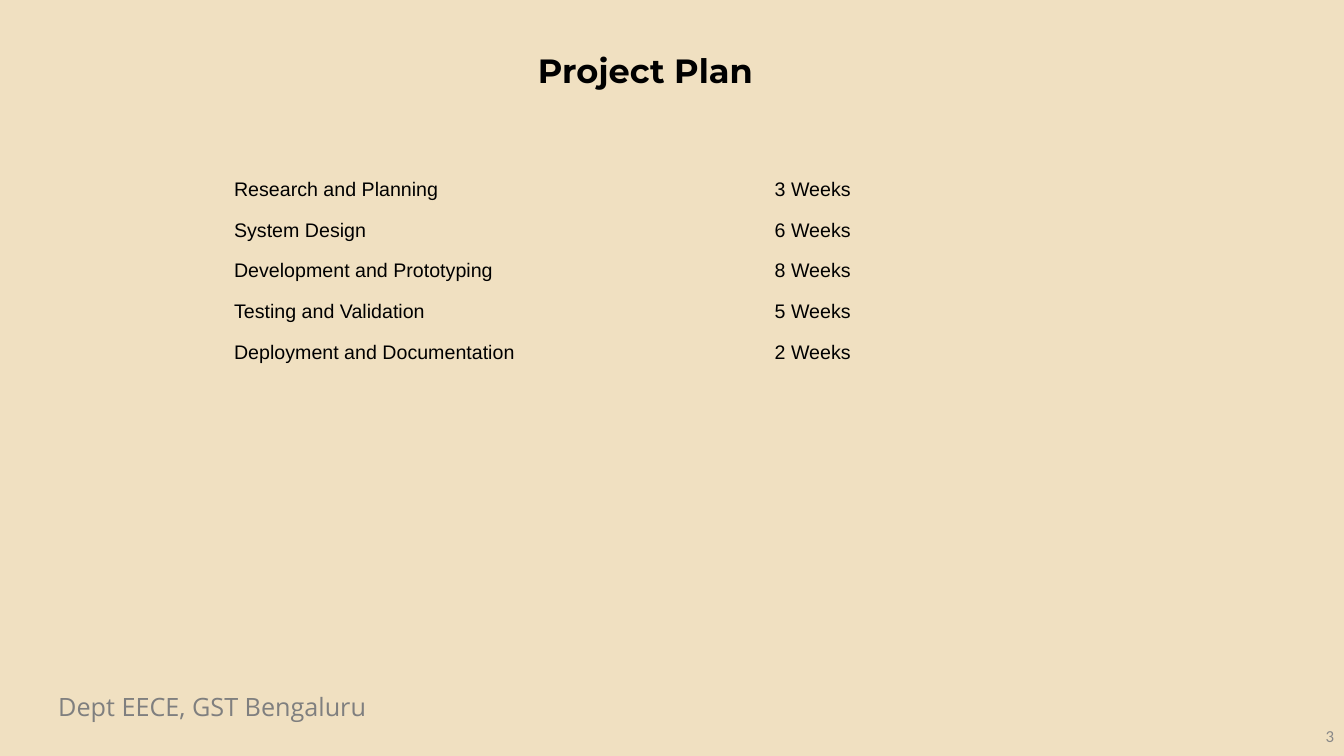
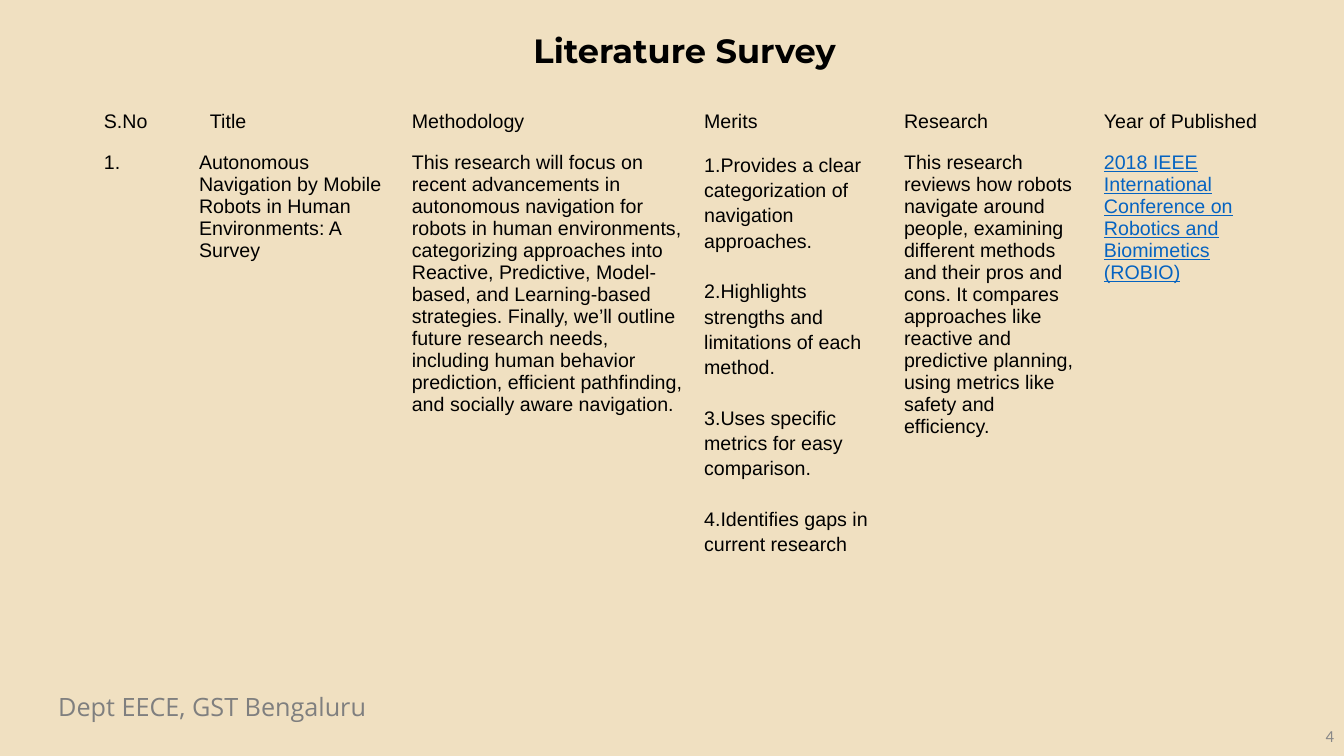
import lxml.etree
import pptx
import pptx.dml.color
import pptx.enum.text
import pptx.oxml.ns
import pptx.util

Pt = pptx.util.Pt
ALIGN = pptx.enum.text.PP_ALIGN
ANCHOR = pptx.enum.text.MSO_ANCHOR

COLORS = {
    "background": "F0E0C1",
    "text": "000000",
    "footer": "7F7F7F",
    "number": "888888",
    "citation": "0563C1",
}
SLIDE_WIDTH, SLIDE_HEIGHT = 960, 540
CELL_INSET = 7.2

PLAN = [
    ("Research and Planning", "3 Weeks"),
    ("System Design", "6 Weeks"),
    ("Development and Prototyping", "8 Weeks"),
    ("Testing and Validation", "5 Weeks"),
    ("Deployment and Documentation", "2 Weeks"),
]
SURVEY = [
    ("S.No", "Title", "Methodology", "Merits", "Research", "Year of Published"),
    (
        "1.",
        "Autonomous Navigation by Mobile Robots in Human Environments: A Survey",
        "This research will focus on recent advancements in autonomous navigation for "
        "robots in human environments, categorizing approaches into Reactive, Predictive, "
        "Model-based, and Learning-based strategies. Finally, we’ll outline future research "
        "needs, including human behavior prediction, efficient pathfinding, and socially "
        "aware navigation.",
        "1.Provides a clear categorization of navigation approaches.\n"
        "2.Highlights strengths and limitations of each method.\n"
        "3.Uses specific metrics for easy comparison.\n"
        "4.Identifies gaps in current research",
        "This research reviews how robots navigate around people, examining different "
        "methods and their pros and cons. It compares approaches like reactive and "
        "predictive planning, using metrics like safety and efficiency.",
        "2018 IEEE International Conference on Robotics and Biomimetics (ROBIO)",
    ),
]


def write_text(frame, text, size=14, font="Arial", color="text", bold=False,
               underline=False, align=ALIGN.LEFT, line_spacing=None, gap=0):
    """Fill a text frame, one paragraph for each line of text."""
    frame.word_wrap = True
    for index, line in enumerate(text.split("\n")):
        paragraph = frame.add_paragraph() if index else frame.paragraphs[0]
        paragraph.alignment = align
        if line_spacing:
            paragraph.line_spacing = line_spacing
        if index and gap:
            paragraph.space_before = Pt(gap)
        run = paragraph.add_run()
        run.text = line
        run.font.size = Pt(size)
        run.font.name = font
        run.font.bold = bold
        run.font.underline = underline
        run.font.color.rgb = pptx.dml.color.RGBColor.from_string(COLORS[color])


def add_text(slide, box, text, anchor=ANCHOR.TOP, **text_format):
    """Add a text box with formatted text."""
    frame = slide.shapes.add_textbox(*map(Pt, box)).text_frame
    frame.vertical_anchor = anchor
    write_text(frame, text, **text_format)


def clear_cell(cell):
    """Remove the borders and the fill of a table cell."""
    properties = cell._tc.get_or_add_tcPr()
    for side in ("lnL", "lnR", "lnT", "lnB"):
        line = lxml.etree.SubElement(properties, pptx.oxml.ns.qn(f"a:{side}"), w="0")
        lxml.etree.SubElement(line, pptx.oxml.ns.qn("a:noFill"))
    cell.fill.background()


def add_plain_table(slide, left, top, widths, heights, rows, indents, formats):
    """Add a table without lines; indents and formats are keyed by row and column."""
    frame = slide.shapes.add_table(
        len(heights), len(widths), Pt(left), Pt(top), Pt(sum(widths)), Pt(sum(heights)))
    table = frame.table
    table.first_row = False
    table.horz_banding = False
    for column, width in zip(table.columns, widths):
        column.width = Pt(width)
    for row, height in zip(table.rows, heights):
        row.height = Pt(height)
    for row_index, row in enumerate(rows):
        for column_index, text in enumerate(row):
            key = (row_index, column_index)
            cell = table.cell(*key)
            clear_cell(cell)
            cell.margin_left = Pt(CELL_INSET + indents.get(key, 0))
            write_text(cell.text_frame, text, **formats.get(key, {}))


def add_base_slide(presentation, title, title_left, title_top, number):
    """Add a slide with background, footer, page number and title."""
    slide = presentation.slides.add_slide(presentation.slide_layouts[6])
    fill = slide.background.fill
    fill.solid()
    fill.fore_color.rgb = pptx.dml.color.RGBColor.from_string(COLORS["background"])
    add_text(slide, (34.5, 490.3, 377, 29), "Dept EECE, GST Bengaluru",
             size=18, font="Open Sans", color="footer")
    add_text(slide, (SLIDE_WIDTH - 216, 511.2, 216, 28.8), str(number), anchor=ANCHOR.MIDDLE,
             size=12, font="Calibri", color="number", align=ALIGN.RIGHT)
    add_text(slide, (title_left, title_top, 828, 39), title,
             size=24, font="Montserrat", bold=True, align=ALIGN.CENTER)
    return slide


def add_plan_slide(presentation):
    """Add the project plan with one row for each phase."""
    slide = add_base_slide(presentation, "Project Plan", 47, 32.4, 3)
    indents = {(row, 1): 66.2 for row in range(len(PLAN))}
    add_plain_table(slide, 160, 123.8, [320] * 2, [29.2] * len(PLAN), PLAN, indents, {})


def add_survey_slide(presentation):
    """Add the literature survey table."""
    slide = add_base_slide(presentation, "Literature Survey", 75, 18, 4)
    widths = [68, 152, 208.8] + [142.8] * 3
    formats = {
        (1, 3): {"line_spacing": 1.15, "gap": 18},
        (1, 5): {"color": "citation", "underline": True},
    }
    add_plain_table(slide, 67, 75.6, widths, [28.8, 360], SURVEY, {(0, 1): 7.8}, formats)


def main():
    """Build and save the presentation."""
    presentation = pptx.Presentation()
    presentation.slide_width = Pt(SLIDE_WIDTH)
    presentation.slide_height = Pt(SLIDE_HEIGHT)
    add_plan_slide(presentation)
    add_survey_slide(presentation)
    presentation.save("out.pptx")


if __name__ == "__main__":
    main()
